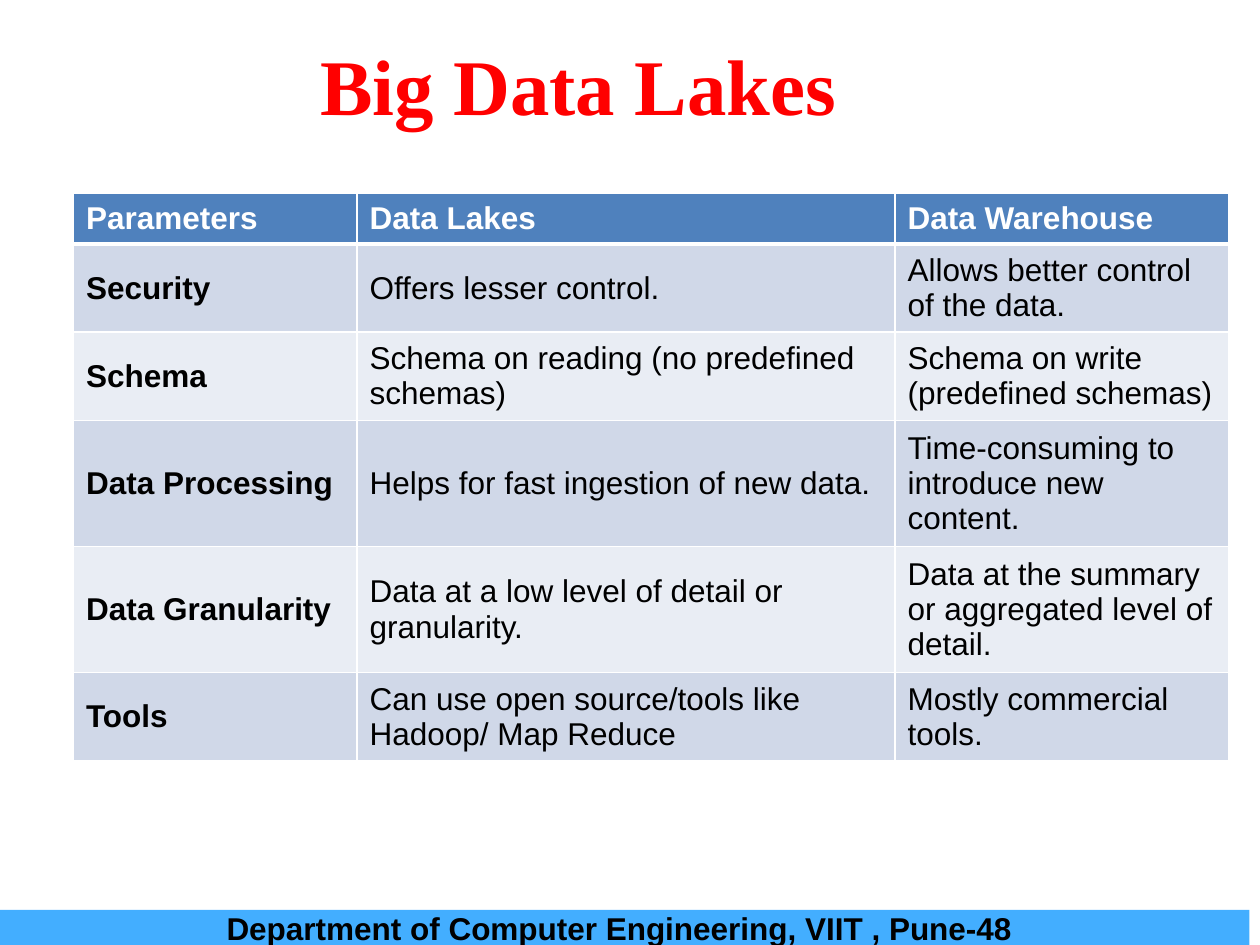
from lxml import etree
from pptx import Presentation
from pptx.dml.color import RGBColor as RGB
from pptx.enum.shapes import MSO_SHAPE
from pptx.enum.text import MSO_ANCHOR as ANCHOR, PP_ALIGN as ALIGN
from pptx.oxml.ns import qn
from pptx.util import Pt

COLORS = {
    "title": "FF0000", "footer": "43AEFF", "header": "4F81BD",
    "odd": "D0D8E8", "even": "E9EDF4", "white": "FFFFFF", "black": "000000",
}


def write(tf, text, color, align=ALIGN.LEFT, **font):
    p = tf.paragraphs[0]
    p.alignment = align
    r = p.add_run()
    r.text = text
    for name, value in font.items():
        setattr(r.font, name, value)
    r.font.color.rgb = RGB.from_string(COLORS[color])


def add_border(cell, side, width):
    ln = etree.SubElement(cell._tc.get_or_add_tcPr(), qn("a:" + side), w=str(Pt(width)))
    fill = etree.SubElement(ln, qn("a:solidFill"))
    etree.SubElement(fill, qn("a:srgbClr"), val=COLORS["white"])


prs = Presentation()
prs.slide_width, prs.slide_height = Pt(720), Pt(540)
s = prs.slides.add_slide(prs.slide_layouts[6])

# Title
sp = s.shapes.add_textbox(Pt(78), Pt(24), Pt(516), Pt(48))
tf = sp.text_frame
tf.word_wrap = True
tf.vertical_anchor = ANCHOR.MIDDLE
write(tf, "Big Data Lakes ", "title", ALIGN.CENTER,
      name="Times New Roman", size=Pt(45), bold=True)

# Footer bar
sp = s.shapes.add_shape(MSO_SHAPE.RECTANGLE, Pt(-6), Pt(520), Pt(720), Pt(20))
sp.shadow.inherit = False
sp.fill.solid()
sp.fill.fore_color.rgb = RGB.from_string(COLORS["footer"])
sp.line.fill.background()
tf = sp.text_frame
tf.word_wrap = True
tf.vertical_anchor = ANCHOR.MIDDLE
write(tf, "Department of Computer Engineering, VIIT , Pune-48", "black", ALIGN.CENTER,
      name="Arial", size=Pt(18), bold=True)

# Comparison table: rows grow to fit their text
ROWS = [
    ("Parameters", "Data Lakes", "Data Warehouse"),
    ("Security", "Offers lesser control.", "Allows better control of the data."),
    ("Schema", "Schema on reading (no predefined schemas)",
     "Schema on write (predefined schemas)"),
    ("Data Processing", "Helps for fast ingestion of new data.",
     "Time-consuming to introduce new content."),
    ("Data Granularity", "Data at a low level of detail or granularity.",
     "Data at the summary or aggregated level of detail."),
    ("Tools", "Can use open source/tools like Hadoop/ Map Reduce",
     "Mostly commercial tools."),
]
WIDTHS = [162, 307.5, 190.5]
ROW_HEIGHT = 29.2

table = s.shapes.add_table(len(ROWS), len(WIDTHS), Pt(42), Pt(110.2),
                           Pt(sum(WIDTHS)), Pt(ROW_HEIGHT * len(ROWS))).table
for column, width in zip(table.columns, WIDTHS):
    column.width = Pt(width)

for i, row in enumerate(ROWS):
    table.rows[i].height = Pt(ROW_HEIGHT)
    fill = "header" if i == 0 else "odd" if i % 2 else "even"
    for j, text in enumerate(row):
        cell = table.cell(i, j)
        cell.vertical_anchor = ANCHOR.MIDDLE
        borders = {"lnL": 1, "lnR": 1, "lnT": 3 if i == 1 else 1, "lnB": 3 if i == 0 else 1}
        for side, width in borders.items():
            add_border(cell, side, width)
        cell.fill.solid()
        cell.fill.fore_color.rgb = RGB.from_string(COLORS[fill])
        write(cell.text_frame, text, "white" if i == 0 else "black",
              name="Arial", size=Pt(18), bold=i == 0 or j == 0)

prs.save("out.pptx")
